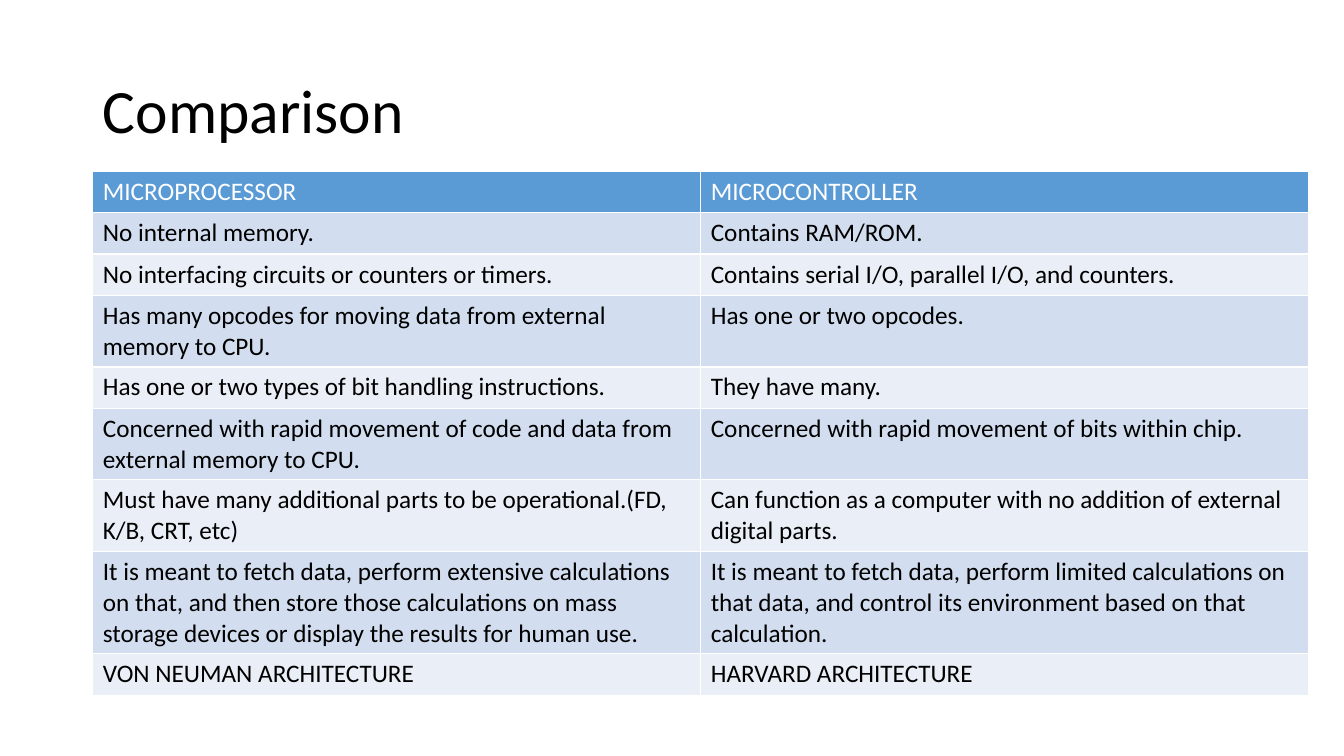
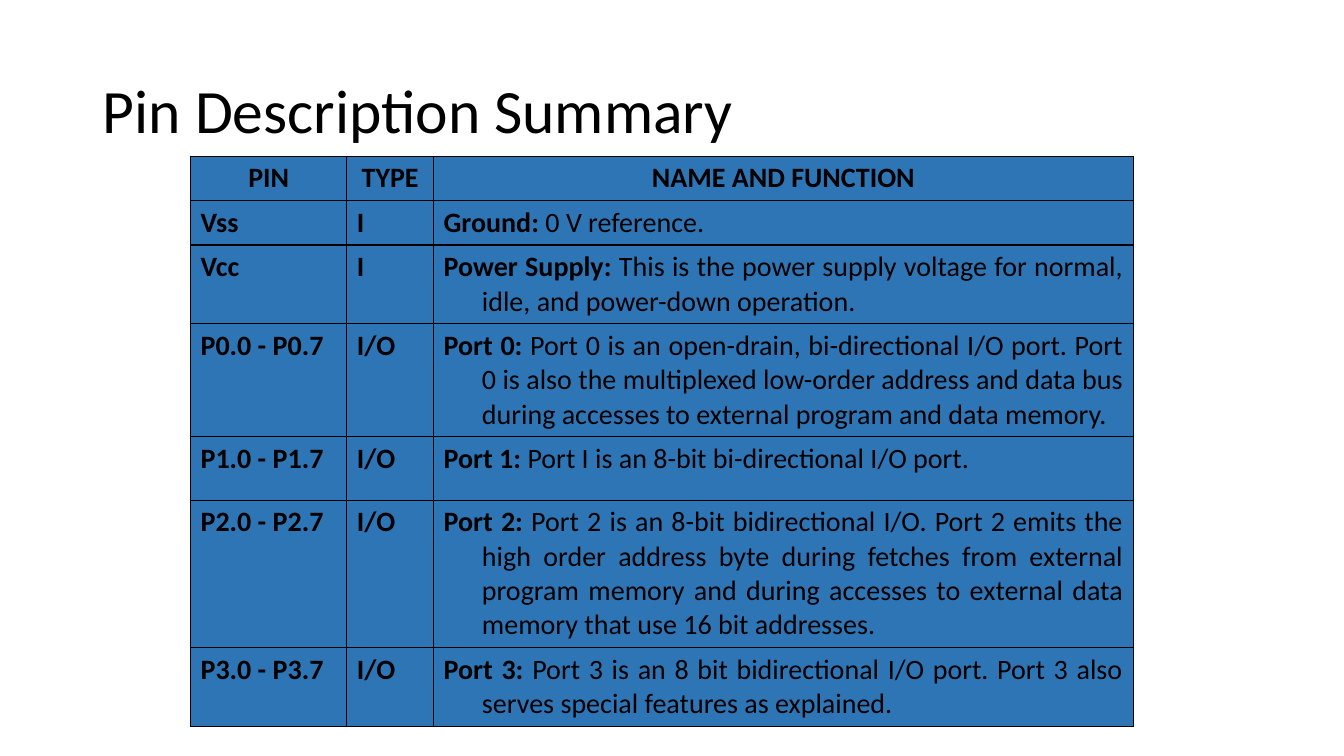
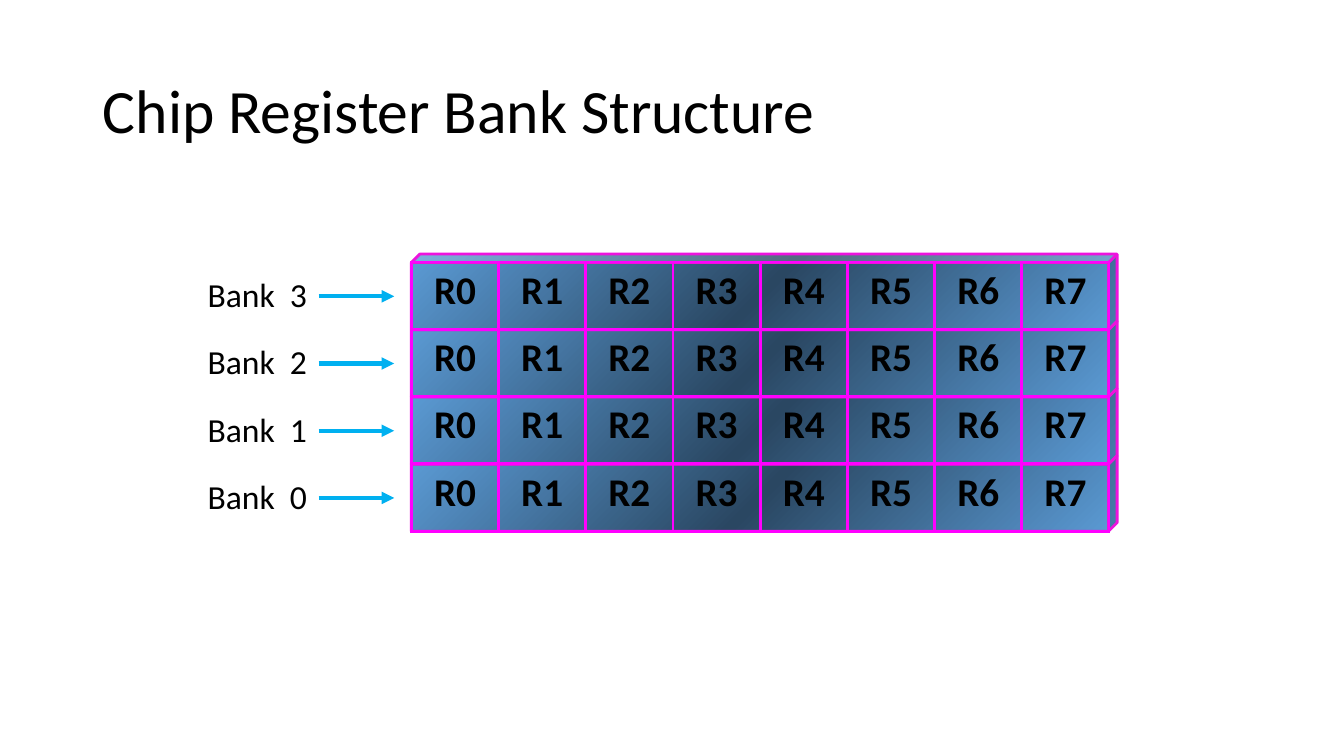
import copy
from dataclasses import dataclass

import pptx
import pptx.dml.color
import pptx.enum.dml
import pptx.enum.shapes
import pptx.enum.text
import pptx.oxml
import pptx.oxml.ns
import pptx.presentation
import pptx.shapes.autoshape
import pptx.slide
import pptx.table
import pptx.text.text
import pptx.util

Inches = pptx.util.Inches
Pt = pptx.util.Pt
Align = pptx.enum.text.PP_ALIGN
qn = pptx.oxml.ns.qn

FONT = "Calibri"
COLORS = {
    "black": "000000",
    "white": "FFFFFF",
    "header": "5B9BD5",
    "band_dark": "D2DEEF",
    "band_light": "EAEFF7",
    "pin_fill": "2E75B6",
    "cube_light": "5B9BD5",
    "cube_dark": "2A4762",
    "cube_line": "ED13DD",
    "register_line": "FF00FF",
    "arrow": "00B0F0",
}


@dataclass(frozen=True)
class Span:
    text: str
    bold: bool = False
    color: str = "black"


@dataclass(frozen=True)
class CellStyle:
    size: float
    border: str
    border_width: float
    fill: str | None = None
    align: Align = Align.LEFT
    hanging: float = 0


@dataclass(frozen=True)
class Pin:
    name: str
    kind: str
    label: str
    function: str


COMPARISON = [
    ("MICROPROCESSOR", "MICROCONTROLLER"),
    ("No internal memory.", "Contains RAM/ROM."),
    ("No interfacing circuits or counters or timers.",
     "Contains serial I/O, parallel I/O, and counters."),
    ("Has many opcodes for moving data from external memory to CPU.",
     "Has one or two opcodes."),
    ("Has one or two types of bit handling instructions.", "They have many."),
    ("Concerned with rapid movement of code and data from external memory to CPU.",
     "Concerned with rapid movement of bits within chip."),
    ("Must have many additional parts to be operational.(FD, K/B, CRT, etc)",
     "Can function as a computer with no addition of external digital parts."),
    ("It is meant to fetch data, perform extensive calculations on that, and then store "
     "those calculations on mass storage devices or display the results for human use.",
     "It is meant to fetch data, perform limited calculations on that data, and control "
     "its environment based on that calculation."),
    ("VON NEUMAN ARCHITECTURE", "HARVARD ARCHITECTURE"),
]

PINS = [
    Pin("Vss", "I", "Ground: ", "0 V reference."),
    Pin("Vcc", "I", "Power Supply: ",
        "This is the power supply voltage for normal, idle, and power-down operation."),
    Pin("P0.0 - P0.7", "I/O", "Port 0: ",
        "Port 0 is an open-drain, bi-directional I/O port. Port 0 is also the multiplexed "
        "low-order address and data bus during accesses to external program and data memory."),
    Pin("P1.0 - P1.7", "I/O", "Port 1: ", "Port I is an 8-bit bi-directional I/O port."),
    Pin("P2.0 - P2.7", "I/O", "Port 2: ",
        "Port 2 is an 8-bit bidirectional I/O. Port 2 emits the high order address byte during "
        "fetches from external program memory and during accesses to external data memory "
        "that use 16 bit addresses."),
    Pin("P3.0 - P3.7", "I/O", "Port 3: ",
        "Port 3 is an 8 bit bidirectional I/O port. Port 3 also serves special features "
        "as explained."),
]


def rgb(name: str) -> pptx.dml.color.RGBColor:
    return pptx.dml.color.RGBColor.from_string(COLORS[name])


def add_span(para: pptx.text.text._Paragraph, span: Span, size: float) -> None:
    run = para.add_run()
    run.text = span.text
    run.font.name = FONT
    run.font.size = Pt(size)
    run.font.bold = span.bold
    run.font.color.rgb = rgb(span.color)


def add_page(deck: pptx.presentation.Presentation, title: str) -> pptx.slide.Slide:
    page = deck.slides.add_slide(deck.slide_layouts.get_by_name("Title Only"))
    box = page.shapes.title
    box.left, box.top, box.width, box.height = map(Inches, (0.92, 0.4, 11.5, 1.45))
    frame = box.text_frame
    frame.vertical_anchor = pptx.enum.text.MSO_ANCHOR.MIDDLE
    frame.auto_size = pptx.enum.text.MSO_AUTO_SIZE.NONE
    para = frame.paragraphs[0]
    para.alignment = Align.LEFT
    para.line_spacing = 0.9
    add_span(para, Span(title), 44)
    return page


def add_plain_table(page: pptx.slide.Slide, left: float, top: float,
                    columns: list[float], rows: list[float]) -> pptx.table.Table:
    """Add a table without the header and banding of its style."""
    table = page.shapes.add_table(
        len(rows), len(columns), Inches(left), Inches(top),
        Inches(sum(columns)), Inches(sum(rows))).table
    table.first_row = table.horz_banding = False
    for column, width in zip(table.columns, columns):
        column.width = Inches(width)
    for row, height in zip(table.rows, rows):
        row.height = Inches(height)
    return table


def fill_cell(cell: pptx.table._Cell, spans: list[Span], style: CellStyle) -> None:
    properties = cell._tc.get_or_add_tcPr()
    for side in ("lnL", "lnR", "lnT", "lnB"):
        properties.append(pptx.oxml.parse_xml(
            f'<a:{side} {pptx.oxml.ns.nsdecls("a")} w="{Pt(style.border_width)}"><a:solidFill>'
            f'<a:srgbClr val="{COLORS[style.border]}"/></a:solidFill></a:{side}>'))
    if style.fill:
        cell.fill.solid()
        cell.fill.fore_color.rgb = rgb(style.fill)
    else:
        cell.fill.background()
    para = cell.text_frame.paragraphs[0]
    para.alignment = style.align
    if style.hanging:
        indent = Inches(style.hanging)
        para_properties = para._p.get_or_add_pPr()
        para_properties.set("marL", str(indent))
        para_properties.set("indent", str(-indent))
    for span in spans:
        add_span(para, span, style.size)


def add_comparison(deck: pptx.presentation.Presentation) -> None:
    page = add_page(deck, "Comparison")
    table = add_plain_table(page, 0.92, 1.7, [6.03] * 2, [0.41] * len(COMPARISON))
    for row, texts in enumerate(COMPARISON):
        fill = "header" if row == 0 else ("band_light", "band_dark")[row % 2]
        color = "white" if row == 0 else "black"
        for column, text in enumerate(texts):
            fill_cell(table.cell(row, column), [Span(text, color=color)],
                      CellStyle(18, "white", 1, fill))


def add_pin_summary(deck: pptx.presentation.Presentation) -> None:
    page = add_page(deck, "Pin Description Summary")
    table = add_plain_table(page, 1.89, 1.55, [1.55, 0.86, 6.94],
                            [0.36, 0.36, 0.63, 0.91, 0.63, 1.18, 0.63])
    lines = [[[Span(text, True)] for text in ("PIN", "TYPE", "NAME AND FUNCTION")]]
    lines += [[[Span(pin.name, True)], [Span(pin.kind, True)],
               [Span(pin.label, True), Span(pin.function)]] for pin in PINS]
    for row, line in enumerate(lines):
        align = Align.JUSTIFY if row else Align.CENTER
        for column, spans in enumerate(line):
            hanging = 0.58 if column == 0 and row in (1, 2) else 0.38
            fill_cell(table.cell(row, column), spans,
                      CellStyle(20, "black", 1, "pin_fill", align, hanging))


def add_cube(page: pptx.slide.Slide, top: float) -> None:
    cube = page.shapes.add_shape(pptx.enum.shapes.MSO_SHAPE.CUBE, Inches(4.08), Inches(top),
                                 Inches(7), Inches(0.75))
    cube.adjustments[0] = 0.113
    cube.shadow.inherit = False
    cube.line.color.rgb = rgb("cube_line")
    cube.line.width = Pt(2)
    cube.fill.gradient()
    cube.fill.gradient_angle = 315
    stop_list = cube._element.spPr.find(qn("a:gradFill")).find(qn("a:gsLst"))
    stop_list.append(copy.deepcopy(stop_list[0]))
    stops = zip(cube.fill.gradient_stops, (0, 0.5, 1), ("cube_light", "cube_dark", "cube_light"))
    for stop, position, color in stops:
        stop.position = position
        stop.color.rgb = rgb(color)


def add_arrow(page: pptx.slide.Slide, left: float, right: float, middle: float) -> None:
    arrow = page.shapes.add_connector(pptx.enum.shapes.MSO_CONNECTOR.STRAIGHT, Inches(left),
                                      Inches(middle), Inches(right), Inches(middle))
    arrow.line.color.rgb = rgb("arrow")
    arrow.line.width = Pt(3)
    namespace = pptx.oxml.ns.nsdecls("a")
    arrow.line._get_or_add_ln().append(
        pptx.oxml.parse_xml(f'<a:tailEnd {namespace} type="triangle"/>'))
    arrow._element.spPr.append(pptx.oxml.parse_xml(f"<a:effectLst {namespace}/>"))


def add_bank(page: pptx.slide.Slide, bank: int, top: float) -> None:
    """Label one register bank, point at it and lay its registers over the cube."""
    box = page.shapes.add_textbox(Inches(1.96), Inches(top + 0.15), Inches(1.42), Inches(0.51))
    box.text_frame.word_wrap = True
    box.text_frame.auto_size = pptx.enum.text.MSO_AUTO_SIZE.SHAPE_TO_FIT_TEXT
    add_span(box.text_frame.paragraphs[0], Span(f"Bank  {bank}"), 24)
    add_arrow(page, 3.16, 3.91, top + 0.42)
    registers = 8
    table = add_plain_table(page, 4.08, top + 0.08, [6.92 / registers] * registers, [0.67])
    style = CellStyle(28, "register_line", 2.25, align=Align.CENTER)
    for register in range(registers):
        fill_cell(table.cell(0, register), [Span(f"R{register}", True)], style)


def add_register_banks(deck: pptx.presentation.Presentation) -> None:
    page = add_page(deck, "Chip Register Bank Structure")
    tops = [4.52 - bank * 2 / 3 for bank in range(4)]
    for top in tops:
        add_cube(page, top)
    for bank, top in enumerate(tops):
        add_bank(page, bank, top)


def main() -> None:
    deck = pptx.Presentation()
    deck.slide_width = Inches(13.33)
    deck.slide_height = Inches(7.5)
    add_comparison(deck)
    add_pin_summary(deck)
    add_register_banks(deck)
    deck.save("out.pptx")


if __name__ == "__main__":
    main()
